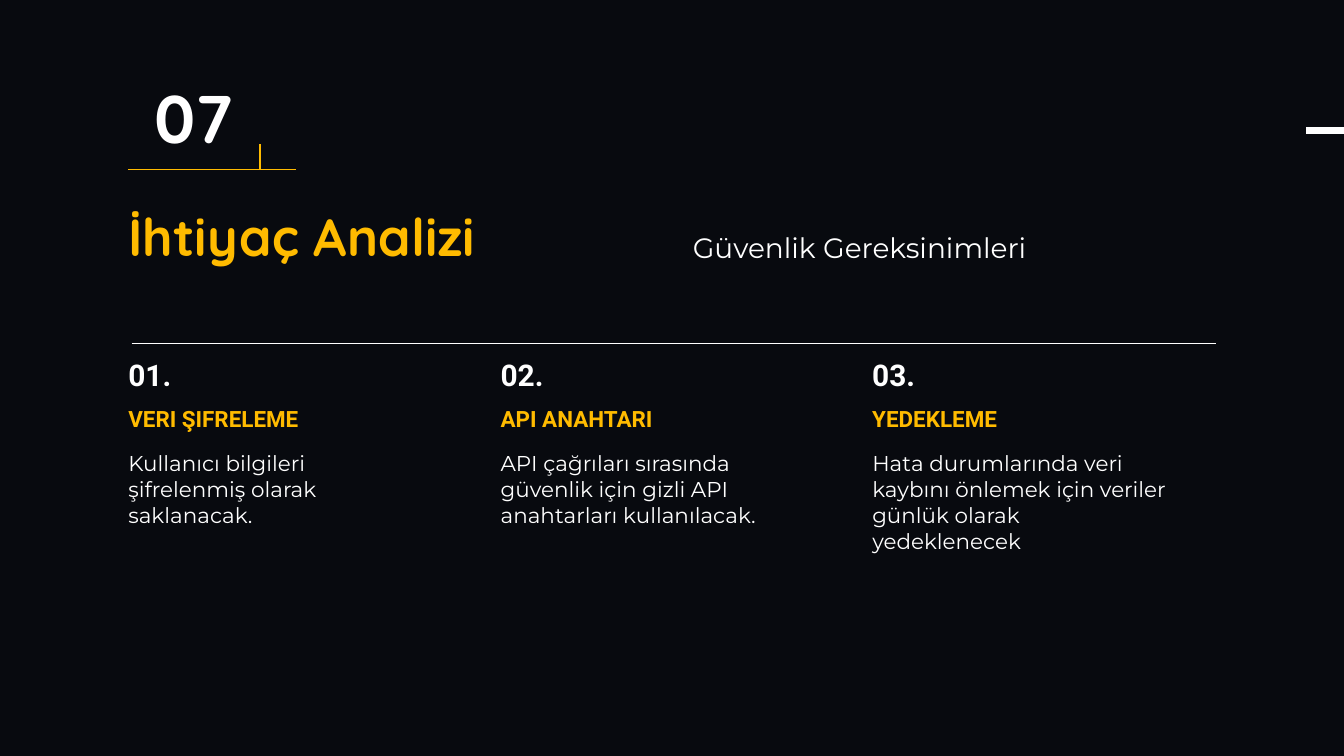
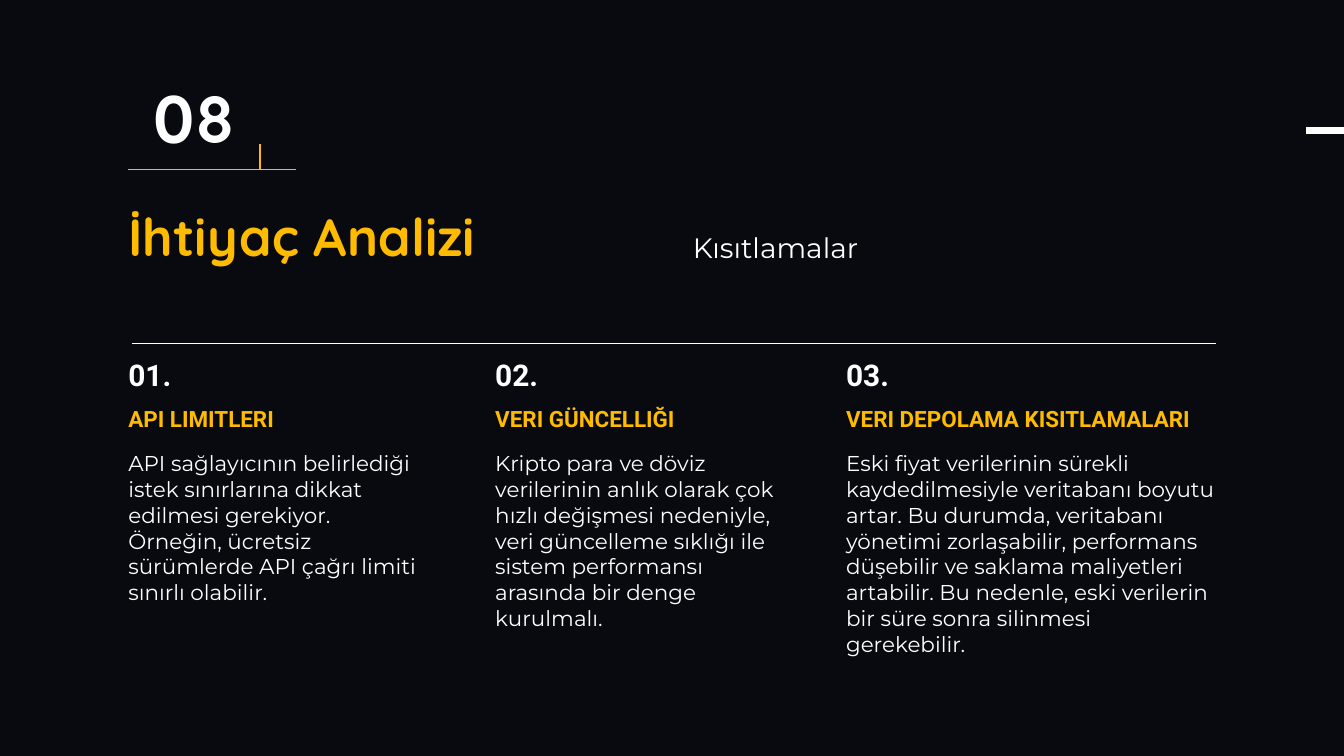
from lxml.etree import SubElement
from pptx import Presentation
from pptx.dml.color import RGBColor
from pptx.enum.shapes import MSO_CONNECTOR
from pptx.enum.text import MSO_ANCHOR, MSO_AUTO_SIZE, PP_ALIGN
from pptx.oxml.ns import qn
from pptx.util import Inches, Pt

DARK, GOLD, WHITE = "080A0F", "FFBB00", "FFFFFF"
HEAD = "İhtiyaç Analizi"

# Style: font, size, line spacing, colour, bold
STYLES = {
    "page": ("Quicksand", 72, 72, WHITE, True),
    "title": ("Quicksand", 56, 56, GOLD, True),
    "topic": ("Montserrat", 30, 36, WHITE, False),
    "count": ("Roboto", 32, 32, WHITE, True),
    "label": ("Roboto", 24, 24, GOLD, True),
    "body": ("Montserrat", 23, 27.6, WHITE, False),
}

# Line: x1, y1, x2, y2, colour, width
LINES = [
    (3.87, 2.15, 3.87, 2.52, GOLD, 1.5),
    (1.91, 2.52, 4.41, 2.52, GOLD, 1.5),
    (1.96, 5.11, 18.09, 5.11, WHITE, 1.5),
    (19.44, 1.94, 20, 1.94, WHITE, 7.5),
]

# Column: left, body width, label, body
SLIDES = [
    {
        "page": "07",
        "topic": "Güvenlik Gereksinimleri",
        "deep": 1.12,
        "columns": [
            (1.91, 4.44, "VERI ŞIFRELEME",
             "Kullanıcı bilgileri şifrelenmiş olarak saklanacak."),
            (7.45, 4.44, "API ANAHTARI",
             "API çağrıları sırasında güvenlik için gizli API anahtarları "
             "kullanılacak."),
            (12.98, 4.48, "YEDEKLEME",
             "Hata durumlarında veri kaybını önlemek için veriler günlük "
             "olarak yedeklenecek"),
        ],
    },
    {
        "page": "08",
        "topic": "Kısıtlamalar",
        "deep": 2.62,
        "columns": [
            (1.91, 4.44, "API LIMITLERI",
             "API sağlayıcının belirlediği istek sınırlarına dikkat edilmesi "
             "gerekiyor. Örneğin, ücretsiz sürümlerde API çağrı limiti "
             "sınırlı olabilir."),
            (7.37, 4.44, "VERI GÜNCELLIĞI",
             "Kripto para ve döviz verilerinin anlık olarak çok hızlı "
             "değişmesi nedeniyle, veri güncelleme sıklığı ile sistem "
             "performansı arasında bir denge kurulmalı."),
            (12.59, 5.49, "VERI DEPOLAMA KISITLAMALARI",
             "Eski fiyat verilerinin sürekli kaydedilmesiyle veritabanı "
             "boyutu artar. Bu durumda, veritabanı yönetimi zorlaşabilir, "
             "performans düşebilir ve saklama maliyetleri artabilir. Bu "
             "nedenle, eski verilerin bir süre sonra silinmesi gerekebilir."),
        ],
    },
]


def color(code):
    return RGBColor.from_string(code)


def write(shape, text, style, align=PP_ALIGN.LEFT):
    font, size, space, tint, bold = STYLES[style]
    frame = shape.text_frame
    frame.text = text
    frame.word_wrap = True
    frame.auto_size = MSO_AUTO_SIZE.SHAPE_TO_FIT_TEXT
    frame.vertical_anchor = MSO_ANCHOR.TOP
    frame.margin_left = frame.margin_right = 0
    frame.margin_top = frame.margin_bottom = 0
    para = frame.paragraphs[0]
    para.alignment = align
    para.line_spacing = Pt(space)
    face = para.runs[0].font
    face.name, face.size, face.bold = font, Pt(size), bold
    face.color.rgb = color(tint)


def add_text(slide, box, text, style, align=PP_ALIGN.LEFT):
    shape = slide.shapes.add_textbox(*map(Inches, box))
    write(shape, text, style, align)


def add_line(slide, x1, y1, x2, y2, tint, width):
    line = slide.shapes.add_connector(
        MSO_CONNECTOR.STRAIGHT, *map(Inches, (x1, y1, x2, y2)))
    line.line.color.rgb = color(tint)
    line.line.width = Pt(width)
    SubElement(line._element.spPr, qn("a:effectLst"))


def add_frame(slide, page, topic):
    """Draw the header and rules that every slide shares."""
    title = slide.shapes.title
    title.left, title.top = Inches(1.91), Inches(3.2)
    title.width, title.height = Inches(5.75), Inches(0.94)
    write(title, HEAD, "title")
    add_text(slide, (1.91, 1.33, 1.96, 1.21), page, "page", PP_ALIGN.CENTER)
    add_text(slide, (10.31, 3.43, 5.59, 0.49), topic, "topic")
    for line in LINES:
        add_line(slide, *line)


def main():
    prs = Presentation()
    prs.slide_width, prs.slide_height = Inches(20), Inches(11.25)
    fill = prs.slide_master.background.fill
    fill.solid()
    fill.fore_color.rgb = color(DARK)
    for item in SLIDES:
        slide = prs.slides.add_slide(prs.slide_layouts[5])
        add_frame(slide, item["page"], item["topic"])
        for i, (left, width, label, body) in enumerate(item["columns"], 1):
            add_text(slide, (left, 5.39, 0.83, 0.5), f"{i:02}.", "count")
            add_text(slide, (left, 6.09, max(width, 4.7), 0.37), label, "label")
            add_text(slide, (left, 6.7, width, item["deep"]), body, "body")
    prs.save("out.pptx")


if __name__ == "__main__":
    main()
